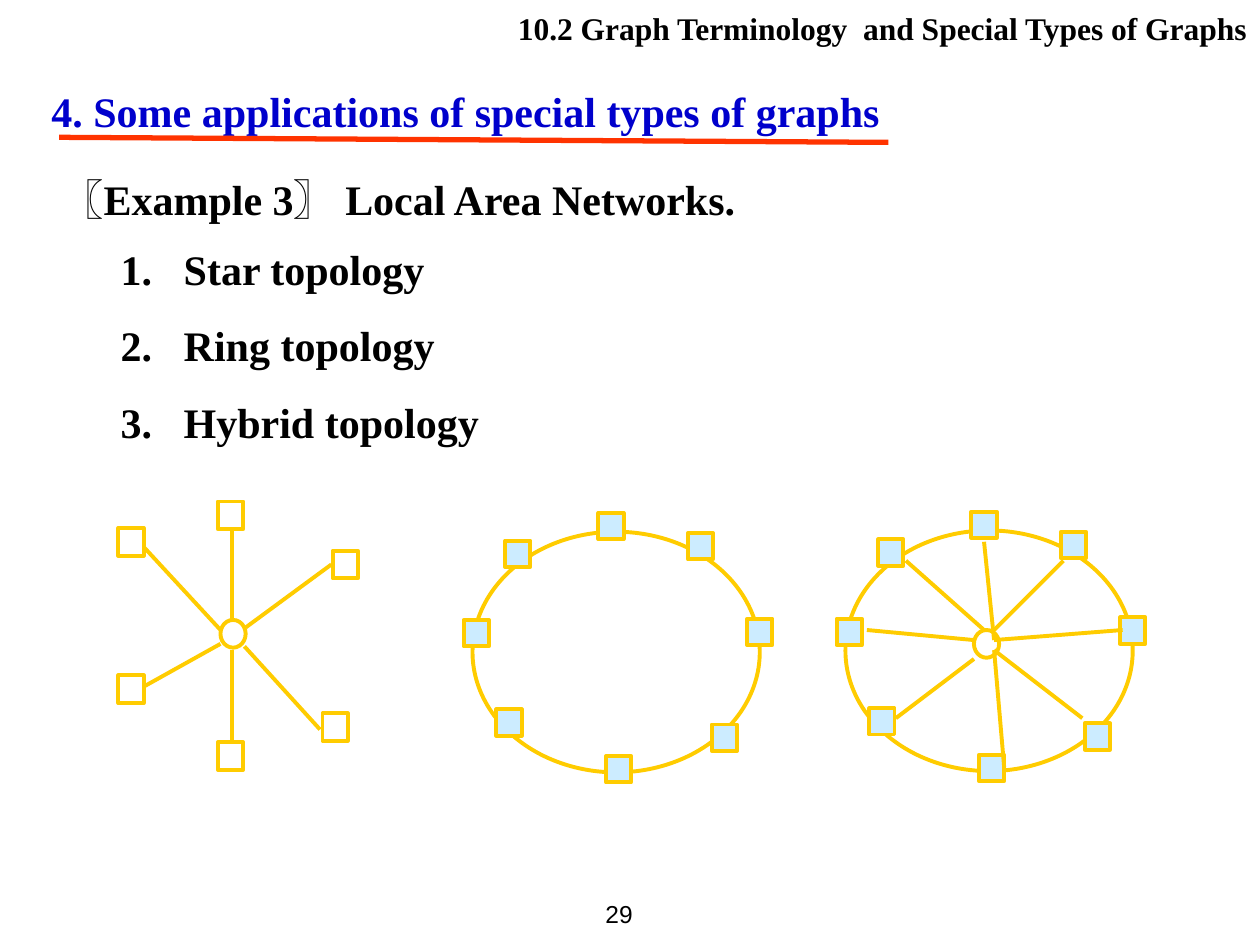
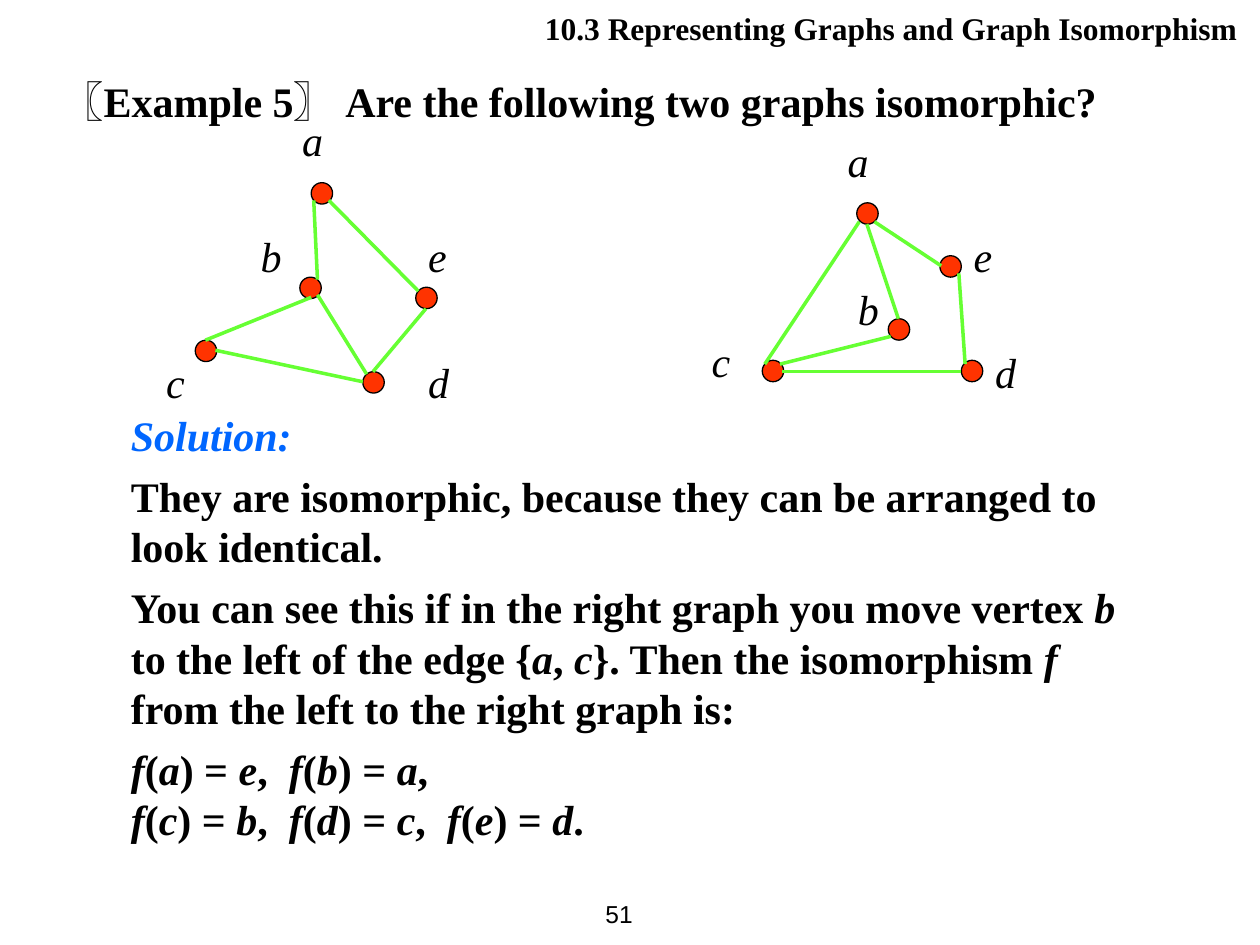
from dataclasses import dataclass

from lxml.etree import SubElement
from pptx import Presentation
from pptx.dml.color import RGBColor
from pptx.enum.shapes import MSO_CONNECTOR, MSO_SHAPE
from pptx.enum.text import MSO_ANCHOR, MSO_AUTO_SIZE, PP_ALIGN
from pptx.oxml.ns import qn
from pptx.util import Inches, Pt


@dataclass(frozen=True)
class Theme:
    """Colours, fonts and type sizes of both slides."""

    ink: str = "000000"
    heading: str = "0000CC"
    underline: str = "FF3300"
    solution: str = "0066FF"
    network: str = "FFCC00"
    station: str = "CCECFF"
    vertex: str = "FF3300"
    edge: str = "66FF33"
    serif: str = "Times New Roman"
    sans: str = "Arial"
    title_size: float = 18
    body_size: float = 24
    page_size: float = 14
    leading: float = 1.2


THEME = Theme()

STATION = (0.2, 0.22)
STAR_STATIONS = [(1.73, 3.98), (1.73, 5.89), (0.94, 5.36), (2.64, 4.37), (0.94, 4.19), (2.56, 5.66)]
STAR_SPOKES = [
    ((1.84, 4.19), (1.84, 4.92)),
    ((1.84, 5.16), (1.84, 5.89)),
    ((1.14, 5.45), (1.75, 5.11)),
    ((1.95, 4.98), (2.63, 4.48)),
    ((1.14, 4.34), (1.75, 5)),
    ((1.94, 5.13), (2.54, 5.79)),
]
RING_STATIONS = [(1, -0.15), (1.71, 0.01), (2.18, 0.69), (-0.07, 0.7),
                 (0.26, 0.07), (0.19, 1.41), (1.06, 1.78), (1.9, 1.53)]
HYBRID_SPOKES = [
    ((7.89, 5.16), (8.59, 5.7)),
    ((7.89, 5.08), (8.91, 5)),
    ((7.89, 5.16), (7.97, 6.09)),
    ((7.19, 4.45), (7.81, 5)),
    ((6.88, 5), (7.73, 5.08)),
    ((7.73, 5.23), (7.11, 5.7)),
    ((7.81, 4.3), (7.89, 5.08)),
    ((7.89, 5), (8.44, 4.45)),
]

LABEL_WIDTHS = {"a": 0.67, "b": 0.33, "c": 0.42, "d": 0.67, "e": 0.67}
LEFT_GRAPH = dict(
    vertices=[(2.88, 2.95), (1.55, 2.7), (2.38, 2.2), (3.3, 2.28), (2.47, 1.45)],
    labels={"d": (3.3, 2.78), "a": (2.3, 0.86), "b": (1.97, 1.78), "c": (1.22, 2.78), "e": (3.3, 1.78)},
    edges=[
        ((2.96, 2.95), (3.38, 2.45)),
        ((2.88, 3.03), (1.71, 2.78)),
        ((1.63, 2.7), (2.47, 2.36)),
        ((2.52, 2.22), (2.49, 1.59)),
        ((2.61, 1.59), (3.32, 2.31)),
        ((2.52, 2.34), (2.91, 2.97)),
    ],
)
RIGHT_GRAPH = dict(
    vertices=[(6.05, 2.86), (7.05, 2.53), (6.8, 1.61), (7.63, 2.86), (7.46, 2.03)],
    labels={"d": (7.8, 2.7), "a": (6.63, 1.03), "b": (6.71, 2.2), "c": (5.55, 2.61), "e": (7.63, 1.78)},
    edges=[
        ((6.21, 2.95), (7.63, 2.95)),
        ((6.19, 2.89), (7.07, 2.67)),
        ((7.13, 2.53), (6.88, 1.78)),
        ((6.94, 1.76), (7.47, 2.11)),
        ((7.61, 2.17), (7.66, 2.89)),
        ((6.82, 1.76), (6.07, 2.89)),
    ],
)

EXPLANATION = [
    "They are isomorphic, because they can be arranged to look identical.",
    "You can see this if in the right graph you move vertex *b* to the left of the edge "
    "{*a*, *c*}. Then the isomorphism *f* from the left to the right graph is:",
    "*f*(*a*) = *e*,  *f*(*b*) = *a*,\n*f*(*c*) = *b*,  *f*(*d*) = *c*,  *f*(*e*) = *d*.",
]


def style_font(font, size, color=THEME.ink, name=THEME.serif, bold=None, italic=None):
    """Set every property of a font."""
    font.name, font.size, font.bold, font.italic = name, Pt(size), bold, italic
    font.color.rgb = RGBColor.from_string(color)


def style_paragraph(paragraph, size=THEME.body_size, space_before=0, **font):
    """Set the leading, spacing and font of a paragraph."""
    paragraph.line_spacing = Pt(size * THEME.leading)
    paragraph.space_before = Pt(space_before)
    style_font(paragraph.font, size, **font)


def add_text_frame(shapes, left, top, width, height=0.5):
    """Add a wrapping text box and return its frame."""
    frame = shapes.add_textbox(Inches(left), Inches(top), Inches(width), Inches(height)).text_frame
    frame.word_wrap = True
    return frame


def add_line(shapes, ends, color, width):
    """Draw a straight line between two points."""
    (x1, y1), (x2, y2) = ends
    line = shapes.add_connector(MSO_CONNECTOR.STRAIGHT, Inches(x1), Inches(y1), Inches(x2), Inches(y2))
    line.line.color.rgb = RGBColor.from_string(color)
    line.line.width = Pt(width)
    SubElement(line._element.spPr, qn("a:effectLst"))


def add_node(shapes, preset, position, size, line_color, line_width, fill=None):
    """Draw an outlined shape, hollow unless a fill is given."""
    node = shapes.add_shape(preset, *map(Inches, (*position, *size)))
    node.shadow.inherit = False
    if fill:
        node.fill.solid()
        node.fill.fore_color.rgb = RGBColor.from_string(fill)
    else:
        node.fill.background()
    node.line.color.rgb = RGBColor.from_string(line_color)
    node.line.width = Pt(line_width)


def add_network_node(shapes, preset, position, size=STATION, fill=None):
    """Draw a part of a network in the network colour."""
    add_node(shapes, preset, position, size, THEME.network, 2.25, fill)


def add_spokes(shapes, spokes):
    """Draw the links between a hub and its stations."""
    for ends in spokes:
        add_line(shapes, ends, THEME.network, 2.25)


def add_star(slide):
    """Draw the star topology."""
    star = slide.shapes.add_group_shape().shapes
    add_network_node(star, MSO_SHAPE.OVAL, (1.75, 4.92))
    add_spokes(star, STAR_SPOKES)
    for station in STAR_STATIONS:
        add_network_node(star, MSO_SHAPE.RECTANGLE, station)


def add_ring(slide, left, top):
    """Draw a ring topology with its ellipse at the given corner."""
    ring = slide.shapes.add_group_shape().shapes
    add_network_node(ring, MSO_SHAPE.OVAL, (left, top), (2.28, 1.91))
    for dx, dy in RING_STATIONS:
        add_network_node(ring, MSO_SHAPE.RECTANGLE, (left + dx, top + dy), (0.2, 0.21), THEME.station)


def add_hybrid(slide):
    """Draw the hybrid topology: a ring with a hub."""
    add_ring(slide, 6.71, 4.21)
    add_network_node(slide.shapes, MSO_SHAPE.OVAL, (7.73, 5))
    add_spokes(slide.shapes, HYBRID_SPOKES)


def add_graph(slide, vertices, labels, edges):
    """Draw a graph with lettered vertices."""
    graph = slide.shapes.add_group_shape().shapes
    for vertex in vertices:
        add_node(graph, MSO_SHAPE.FLOWCHART_CONNECTOR, vertex, (0.17, 0.17), THEME.ink, 0.75, THEME.vertex)
    for letter, (left, top) in labels.items():
        label = add_text_frame(graph, left, top, LABEL_WIDTHS[letter]).paragraphs[0]
        label.text = letter
        style_paragraph(label, italic=True)
    for ends in edges:
        add_line(graph, ends, THEME.edge, 2)


def add_section_slide(deck, section, right, page):
    """Add a slide with its section title and page number."""
    slide = deck.slides.add_slide(deck.slide_layouts[5])
    title = slide.shapes.title
    title.left, title.top, title.width, title.height = map(Inches, (right - 6.02, 0.02, 6.02, 0.5))
    title.text = section
    title.text_frame.auto_size = MSO_AUTO_SIZE.NONE
    title.text_frame.vertical_anchor = MSO_ANCHOR.TOP
    heading = title.text_frame.paragraphs[0]
    heading.alignment = PP_ALIGN.RIGHT
    style_paragraph(heading, THEME.title_size, bold=True)

    frame = add_text_frame(slide.shapes, 4.45, 7, 0.67)
    frame.vertical_anchor = MSO_ANCHOR.MIDDLE
    number = frame.paragraphs[0]
    number.text = page
    number.alignment = PP_ALIGN.RIGHT
    style_font(number.font, THEME.page_size, name=THEME.sans)
    return slide


def add_example(slide, top, number, statement):
    """Add the bracketed example number and its statement."""
    example = add_text_frame(slide.shapes, 0.39, top, 9.14).paragraphs[0]
    style_paragraph(example, bold=True)
    for text, name in (("〖", THEME.sans), (f"Example {number}", THEME.serif),
                       ("〗 ", THEME.sans), (statement, THEME.serif)):
        run = example.add_run()
        run.text = text
        style_font(run.font, THEME.body_size, name=name, bold=True)


def add_heading(slide, text):
    """Add the underlined topic heading."""
    heading = add_text_frame(slide.shapes, 0.31, 0.63, 7.64).paragraphs[0]
    heading.text = text
    style_paragraph(heading, color=THEME.heading, bold=True)
    add_line(slide.shapes, ((0.47, 1.09), (7.05, 1.13)), THEME.underline, 3)


def add_numbered_list(slide, items):
    """Add an automatically numbered list."""
    frame = add_text_frame(slide.shapes, 0.86, 1.88, 5.43, 1.72)
    for index, item in enumerate(items):
        entry = frame.paragraphs[0] if index == 0 else frame.add_paragraph()
        entry.text = item
        properties = entry._p.get_or_add_pPr()
        properties.set("marL", str(Inches(0.5)))
        properties.set("indent", str(-Inches(0.5)))
        color = SubElement(properties, qn("a:buClr"))
        SubElement(color, qn("a:srgbClr"), val=THEME.ink)
        SubElement(properties, qn("a:buAutoNum"), type="arabicPeriod")
        style_paragraph(entry, space_before=15 if index else 0, bold=True)


def add_marked_text(paragraph, text):
    """Write text whose starred parts are italic."""
    for line_index, line in enumerate(text.split("\n")):
        if line_index:
            paragraph.add_line_break()
        for part_index, part in enumerate(line.split("*")):
            if part:
                run = paragraph.add_run()
                run.text = part
                if part_index % 2:
                    run.font.italic = True


def add_solution(slide):
    """Add the solution and its explanation."""
    frame = add_text_frame(slide.shapes, 0.94, 3.2, 8.03, 3.75)
    lead = frame.paragraphs[0]
    lead.text = "Solution:"
    style_paragraph(lead, color=THEME.solution, bold=True, italic=True)
    for text in EXPLANATION:
        paragraph = frame.add_paragraph()
        add_marked_text(paragraph, text)
        style_paragraph(paragraph, space_before=6, bold=True)


def main():
    """Build both slides and save the deck."""
    deck = Presentation()
    deck.slide_width, deck.slide_height = Inches(10), Inches(7.5)

    networks = add_section_slide(deck, "10.2 Graph Terminology  and Special Types of Graphs", 10, "29")
    add_heading(networks, "4. Some applications of special types of graphs")
    add_example(networks, 1.33, 3, "Local Area Networks.")
    add_numbered_list(networks, ["Star topology", "Ring topology", "Hybrid topology"])
    add_star(networks)
    add_ring(networks, 3.75, 4.22)
    add_hybrid(networks)

    isomorphism = add_section_slide(deck, "10.3 Representing Graphs and Graph Isomorphism", 9.92, "51")
    add_example(isomorphism, 0.55, 5, "Are the following two graphs isomorphic?")
    add_solution(isomorphism)
    add_graph(isomorphism, **LEFT_GRAPH)
    add_graph(isomorphism, **RIGHT_GRAPH)

    deck.save("out.pptx")


if __name__ == "__main__":
    main()
